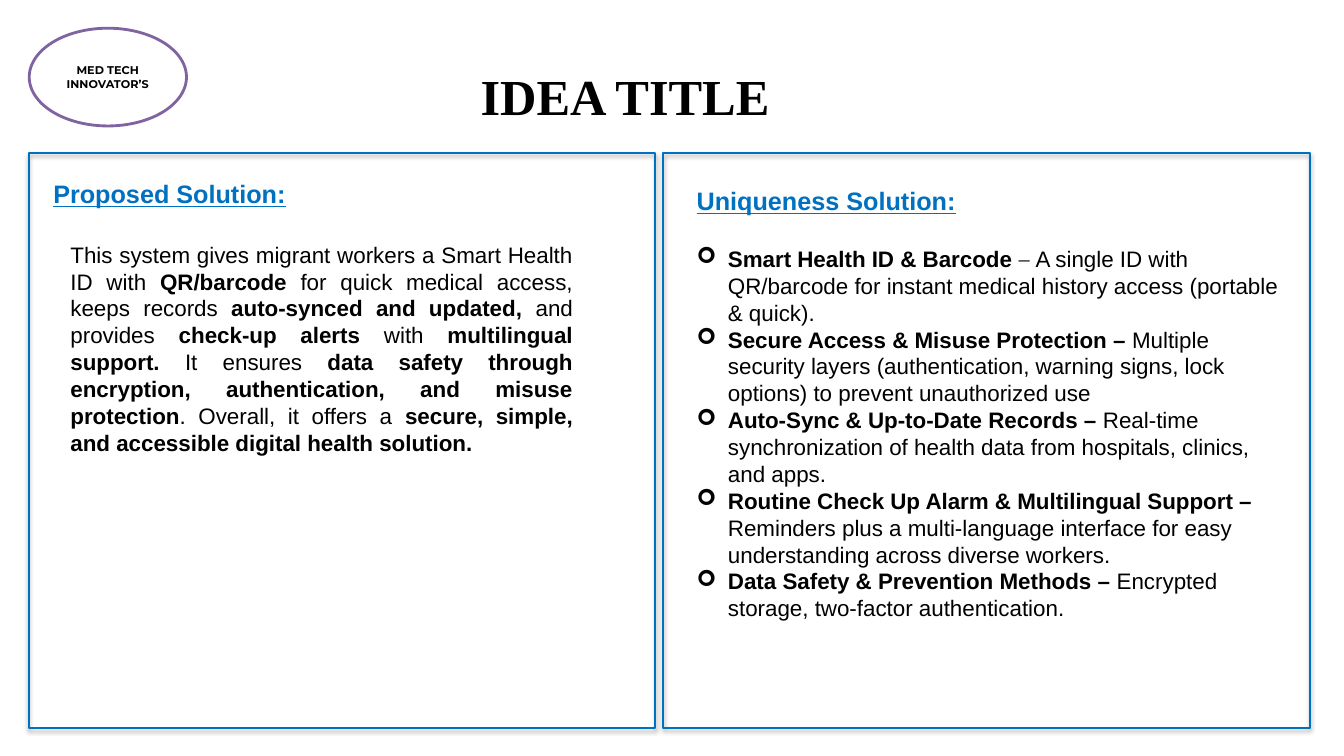
from lxml import etree
from pptx import Presentation
from pptx.dml.color import RGBColor
from pptx.enum.shapes import MSO_SHAPE
from pptx.enum.text import MSO_ANCHOR, MSO_AUTO_SIZE, PP_ALIGN
from pptx.oxml.ns import qn
from pptx.util import Inches, Pt

OVAL, RECTANGLE = MSO_SHAPE.OVAL, MSO_SHAPE.RECTANGLE
TOP, MIDDLE, BOTTOM = MSO_ANCHOR.TOP, MSO_ANCHOR.MIDDLE, MSO_ANCHOR.BOTTOM
LEFT, CENTER, JUSTIFY = PP_ALIGN.LEFT, PP_ALIGN.CENTER, PP_ALIGN.JUSTIFY
NO_AUTOFIT = MSO_AUTO_SIZE.NONE

COLORS = {"white": "FFFFFF", "black": "000000", "blue": "0070C0", "purple": "8064A2"}

DESCRIPTION = [
    ("This system gives migrant workers a Smart Health ID with ", False),
    ("QR/barcode", True),
    (" for quick medical access, keeps records ", False),
    ("auto-synced and updated,", True),
    (" and provides ", False),
    ("check-up alerts ", True),
    ("with ", False),
    ("multilingual support. ", True),
    ("It ensures ", False),
    ("data safety through encryption, authentication, and misuse protection", True),
    (". Overall, it offers a ", False),
    ("secure, simple, and accessible digital health solution.", True),
]

FEATURES = [
    [("Smart Health ID & Barcode ", True), ("– ", False, "Montserrat"),
     ("A single ID with QR/barcode for instant medical history access "
      "(portable & quick).", False)],
    [("Secure Access & Misuse Protection – ", True),
     ("Multiple security layers (authentication, warning signs, lock options) "
      "to prevent unauthorized use", False)],
    [("Auto-Sync & Up-to-Date Records – ", True),
     ("Real-time synchronization of health data from hospitals, clinics, and apps.", False)],
    [("Routine Check Up Alarm & Multilingual Support – ", True),
     ("Reminders plus a multi-language interface for easy understanding "
      "across diverse workers.", False)],
    [("Data Safety & Prevention Methods – ", True),
     ("Encrypted storage, two-factor authentication.", False)],
]


def place(shape, box):
    """Move a shape to a box given in inches."""
    shape.left, shape.top, shape.width, shape.height = map(Inches, box)


def prepare_frame(shape, anchor=TOP):
    """Set wrapping, anchor and fixed size of a text frame."""
    frame = shape.text_frame
    frame.word_wrap = True
    frame.auto_size = NO_AUTOFIT
    frame.vertical_anchor = anchor
    return frame


def add_run(paragraph, text, size, color="black", bold=True, font="Arial", underline=False):
    """Append one formatted run to a paragraph."""
    run = paragraph.add_run()
    run.text = text
    run.font.size = Pt(size)
    run.font.name = font
    run.font.bold = bold
    run.font.underline = underline
    run.font.color.rgb = RGBColor.from_string(COLORS[color])


def add_heading(paragraph, text):
    """Write a blue underlined section heading."""
    paragraph.space_before = Pt(0)
    add_run(paragraph, text, 18, "blue", underline=True)


def set_bullet(paragraph, indent, character=None):
    """Give a paragraph a hanging bullet, or none without a character."""
    properties = paragraph._p.get_or_add_pPr()
    properties.set("marL", str(Inches(indent)))
    properties.set("indent", str(-Inches(indent)))
    if character:
        etree.SubElement(properties, qn("a:buFont"), typeface="Wingdings")
        etree.SubElement(properties, qn("a:buChar"), char=character)
    else:
        etree.SubElement(properties, qn("a:buNone"))


def add_shadow(shape):
    """Add a soft shadow below a shape."""
    effects = shape._element.spPr.find(qn("a:effectLst"))
    shadow = etree.SubElement(effects, qn("a:outerShdw"), blurRad=str(Pt(3.1)),
                              dist=str(Pt(1.8)), dir="5400000", rotWithShape="0")
    color = etree.SubElement(shadow, qn("a:srgbClr"), val=COLORS["black"])
    etree.SubElement(color, qn("a:alpha"), val="35000")


def add_outline(slide, preset, box, color, width):
    """Add an unfilled outlined shape."""
    shape = slide.shapes.add_shape(preset, *map(Inches, box))
    shape.shadow.inherit = False
    shape.fill.background()
    shape.line.color.rgb = RGBColor.from_string(COLORS[color])
    shape.line.width = Pt(width)
    return shape


def build_title(slide, box):
    """Write the slide title."""
    title = slide.shapes.title
    place(title, box)
    frame = prepare_frame(title, BOTTOM)
    frame.margin_bottom = 0
    paragraph = frame.paragraphs[0]
    paragraph.alignment = CENTER
    add_run(paragraph, "IDEA TITLE", 36, font="Times New Roman")


def build_team_badge(slide, box):
    """Draw the oval with the team name."""
    badge = add_outline(slide, OVAL, box, "purple", 2)
    badge.fill.solid()
    badge.fill.fore_color.rgb = RGBColor.from_string(COLORS["white"])
    frame = prepare_frame(badge, MIDDLE)
    for index, line in enumerate(("MED TECH", "INNOVATOR’S")):
        paragraph = frame.add_paragraph() if index else frame.paragraphs[0]
        paragraph.alignment = CENTER
        add_run(paragraph, line, 8, font="Montserrat")


def build_panel(slide, box):
    """Draw a shadowed panel border."""
    add_shadow(add_outline(slide, RECTANGLE, box, "blue", 1.5))


def build_proposed_solution(slide, box):
    """Fill the left panel with a heading and a description."""
    left, top, width, height = box
    build_panel(slide, box)
    heading_box = slide.shapes.add_textbox(
        Inches(left + 0.14), Inches(top + 0.05), Inches(width - 0.2), Inches(0.6))
    heading = prepare_frame(heading_box).paragraphs[0]
    heading.line_spacing = 1.5
    add_heading(heading, "Proposed Solution:")

    text_box = slide.shapes.add_textbox(
        Inches(left + 0.31), Inches(top + 0.82), Inches(5.18), Inches(2.79))
    paragraph = prepare_frame(text_box).paragraphs[0]
    paragraph.alignment = JUSTIFY
    for text, bold in DESCRIPTION:
        add_run(paragraph, text, 16, bold=bold)


def build_uniqueness(slide, box):
    """Fill the right panel with a heading and a bulleted list."""
    left, top, width, height = box
    build_panel(slide, box)
    body = slide.placeholders[1]
    place(body, (left + 0.23, top + 0.27, width - 0.4, height - 0.68))
    frame = prepare_frame(body)
    heading = frame.paragraphs[0]
    set_bullet(heading, 0)
    add_heading(heading, "Uniqueness Solution:")
    for index, feature in enumerate(FEATURES):
        paragraph = frame.add_paragraph()
        paragraph.alignment = LEFT
        paragraph.space_before = Pt(0 if index else 21)
        set_bullet(paragraph, 0.31, "➢")
        for text, bold, *font in feature:
            add_run(paragraph, text, 16, bold=bold, font=font[0] if font else "Arial")


def main():
    """Build and save the presentation."""
    presentation = Presentation()
    presentation.slide_width = Inches(13.33)
    presentation.slide_height = Inches(7.5)
    slide = presentation.slides.add_slide(presentation.slide_layouts[1])
    build_title(slide, (0.2, 0, 12, 1.25))
    build_team_badge(slide, (0.29, 0.28, 1.56, 0.97))
    build_proposed_solution(slide, (0.29, 1.52, 6.21, 5.7))
    build_uniqueness(slide, (6.58, 1.52, 6.41, 5.7))
    presentation.save("out.pptx")


if __name__ == "__main__":
    main()
